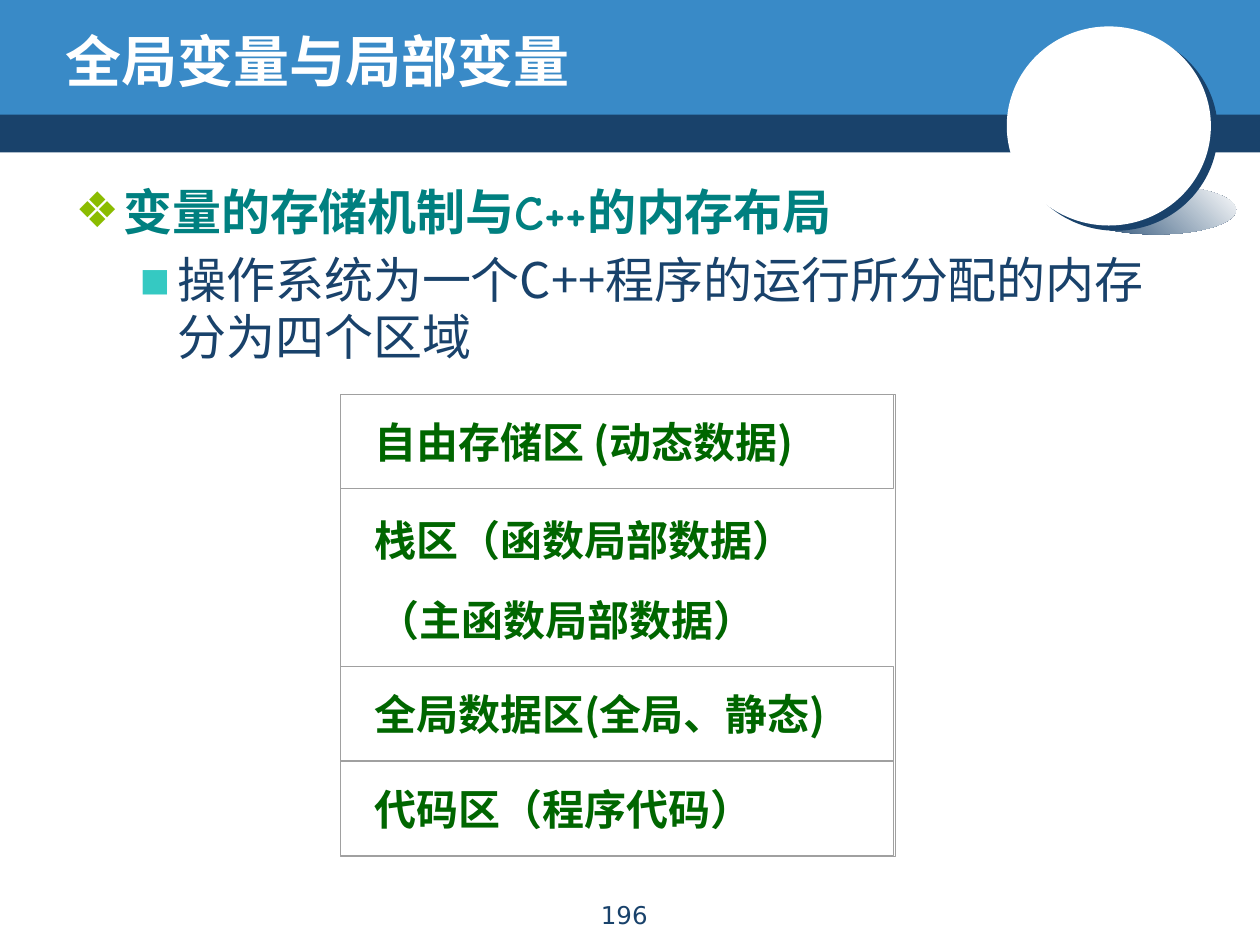
from lxml import etree
from pptx import Presentation
from pptx.dml.color import RGBColor
from pptx.enum.shapes import MSO_SHAPE
from pptx.enum.text import MSO_ANCHOR, PP_ALIGN
from pptx.oxml.ns import qn
from pptx.util import Inches, Pt

RECT, OVAL = MSO_SHAPE.RECTANGLE, MSO_SHAPE.OVAL
TOP, MIDDLE = MSO_ANCHOR.TOP, MSO_ANCHOR.MIDDLE
LEFT, CENTER = PP_ALIGN.LEFT, PP_ALIGN.CENTER

NAVY = RGBColor(0x19, 0x42, 0x6B)
BLUE = RGBColor(0x39, 0x8A, 0xC7)
WHITE = RGBColor(0xFF, 0xFF, 0xFF)
TEAL = RGBColor(0x00, 0x80, 0x80)
LIME = RGBColor(0x8B, 0xBC, 0x00)
AQUA = RGBColor(0x35, 0xC9, 0xC2)
GREEN = RGBColor(0x00, 0x66, 0x00)
GRAY = RGBColor(0xA0, 0xA0, 0xA0)

HEADING_FONT = "Comic Neue"
CJK_FONT = "Noto Sans CJK SC"
NUMBER_FONT = "DejaVu Sans"


class SlideBuilder:
    def __init__(self, page):
        self.page = page

    def shape(self, kind, left, top, width, height, fill=None):
        item = self.page.shapes.add_shape(
            kind, Inches(left), Inches(top), Inches(width), Inches(height))
        item.shadow.inherit = False
        item.line.fill.background()
        if fill is None:
            item.fill.background()
        else:
            item.fill.solid()
            item.fill.fore_color.rgb = fill
        return item

    def frame(self, left, top, width, height, weight):
        item = self.shape(RECT, left, top, width, height)
        item.line.color.rgb = GRAY
        item.line.width = Pt(weight)

    def gradient(self, item, start, end, angle):
        item.fill.gradient()
        item.fill.gradient_angle = angle
        for stop, color in zip(item.fill.gradient_stops, (start, end)):
            stop.color.rgb = color

    def drop_shadow(self, item, color, distance, degrees):
        effects = item._element.spPr.find(qn("a:effectLst"))
        shadow = etree.SubElement(
            effects, qn("a:outerShdw"), dist=str(Pt(distance)),
            dir=str(degrees * 60000), algn="ctr", rotWithShape="0")
        etree.SubElement(shadow, qn("a:srgbClr"), val=str(color))

    def text_box(self, left, top, width, height, anchor=TOP):
        box = self.page.shapes.add_textbox(
            Inches(left), Inches(top), Inches(width), Inches(height))
        box.text_frame.word_wrap = True
        box.text_frame.vertical_anchor = anchor
        return box.text_frame

    def span(self, para, text, size, color, font=CJK_FONT, bold=False):
        span = para.add_run()
        span.text = text
        span.font.size = Pt(size)
        span.font.bold = bold
        span.font.name = font
        span.font.color.rgb = color
        etree.SubElement(span.font._element, qn("a:ea"), typeface=CJK_FONT)

    def label(self, left, top, width, height, text, size, color,
              font=CJK_FONT, bold=True, anchor=MIDDLE, align=LEFT):
        para = self.text_box(left, top, width, height, anchor).paragraphs[0]
        para.alignment = align
        self.span(para, text, size, color, font, bold)

    def bullet(self, para, mark, color, margin, hanging):
        props = para._p.get_or_add_pPr()
        props.set("marL", str(Inches(margin)))
        props.set("indent", str(-Inches(hanging)))
        tint = etree.SubElement(props, qn("a:buClr"))
        etree.SubElement(tint, qn("a:srgbClr"), val=str(color))
        etree.SubElement(props, qn("a:buFont"), typeface=NUMBER_FONT)
        etree.SubElement(props, qn("a:buChar"), char=mark)
        para.line_spacing = Pt(33)


def draw_header(builder):
    builder.shape(RECT, 0, 0.87, 10, 0.34, NAVY)
    builder.shape(RECT, 0, 0, 10, 0.91, BLUE)
    cast = builder.shape(OVAL, 8.54, 1.47, 1.27, 0.39)
    builder.gradient(cast, NAVY, WHITE, 45)
    disc = builder.shape(OVAL, 7.99, 0.21, 1.62, 1.58, WHITE)
    builder.drop_shadow(disc, NAVY, 5, 37)
    builder.shape(OVAL, 8.54, 0.68, 0.57, 0.59, WHITE)
    builder.label(0.42, 0.17, 8.08, 0.62, "全局变量与局部变量", 32, WHITE,
                  HEADING_FONT)


def draw_body(builder):
    body = builder.text_box(0.5, 1.4, 9, 1.6)
    topic = body.paragraphs[0]
    builder.bullet(topic, "❖", LIME, 0.38, 0.38)
    builder.span(topic, "变量的存储机制与C++的内存布局", 28, TEAL, HEADING_FONT, True)
    detail = body.add_paragraph()
    builder.bullet(detail, "▪", AQUA, 0.81, 0.31)
    detail.space_before = Pt(5.6)
    builder.span(detail, "操作系统为一个C++程序的运行所分配的内存分为四个区域", 28, NAVY)


def draw_memory_layout(builder):
    left, top, row = 2.7, 3.13, 0.75
    global_top = 5.29
    code_top = global_top + row
    labels = [
        (2.87, top, row, "自由存储区 (动态数据)"),
        (2.87, top + row, 0.81, "栈区（函数局部数据）"),
        (2.9, 4.66, 0.51, "（主函数局部数据）"),
        (2.87, global_top, row, "全局数据区(全局、静态)"),
        (2.87, code_top, row, "代码区（程序代码）"),
    ]
    for label_left, label_top, height, text in labels:
        builder.label(label_left, label_top, 4.05, height, text, 24, GREEN)
    for row_top in (top, global_top, code_top):
        builder.frame(left, row_top, 4.39, row, 0)
    builder.frame(left, top, 4.41, 3.67, 0.75)


def main():
    deck = Presentation()
    deck.slide_width, deck.slide_height = Inches(10), Inches(7.5)
    builder = SlideBuilder(deck.slides.add_slide(deck.slide_layouts[6]))
    draw_header(builder)
    draw_body(builder)
    draw_memory_layout(builder)
    builder.label(4.05, 7.09, 1.81, 0.32, "196", 14, NAVY, NUMBER_FONT,
                  bold=False, anchor=TOP, align=CENTER)
    deck.save("out.pptx")


if __name__ == "__main__":
    main()
